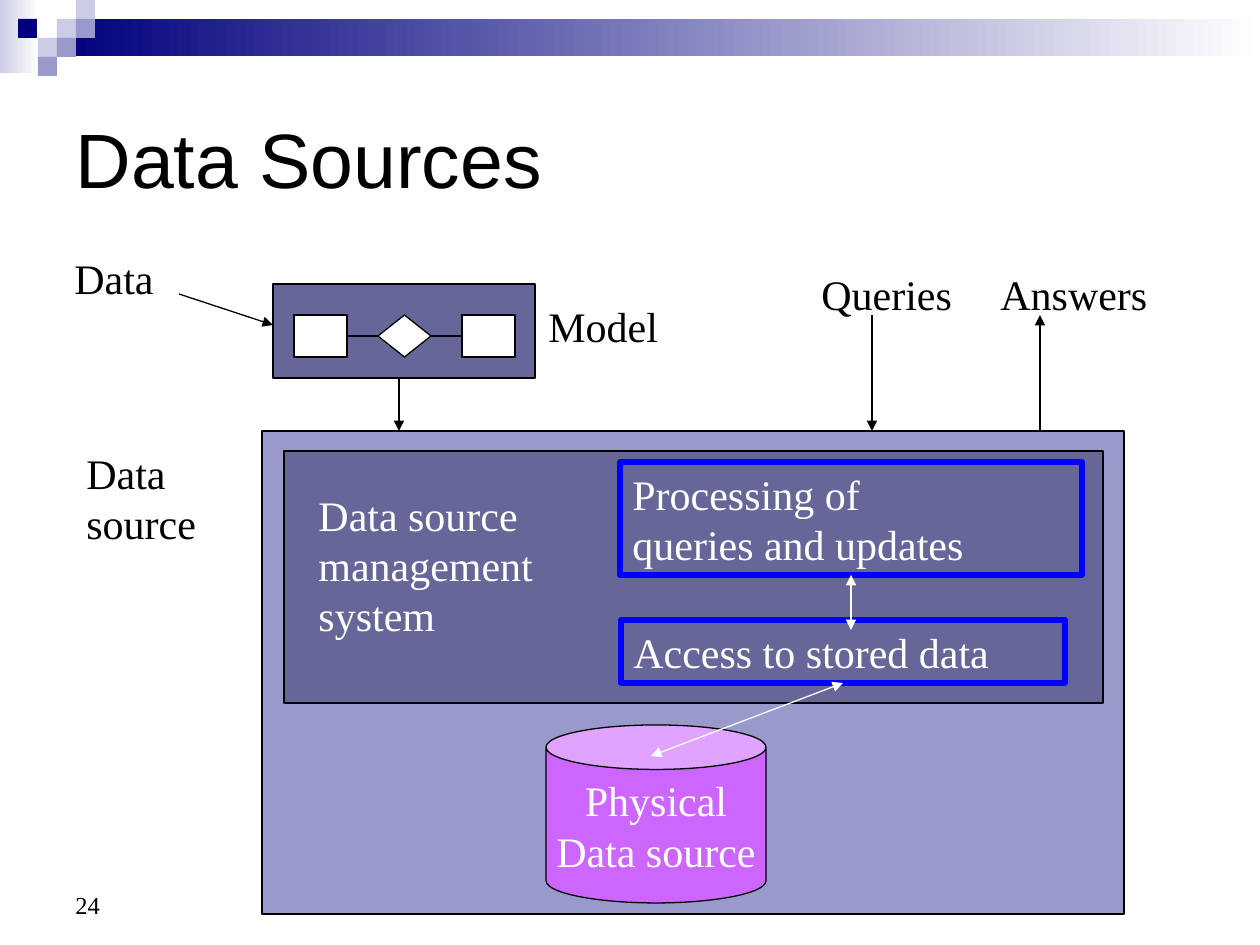
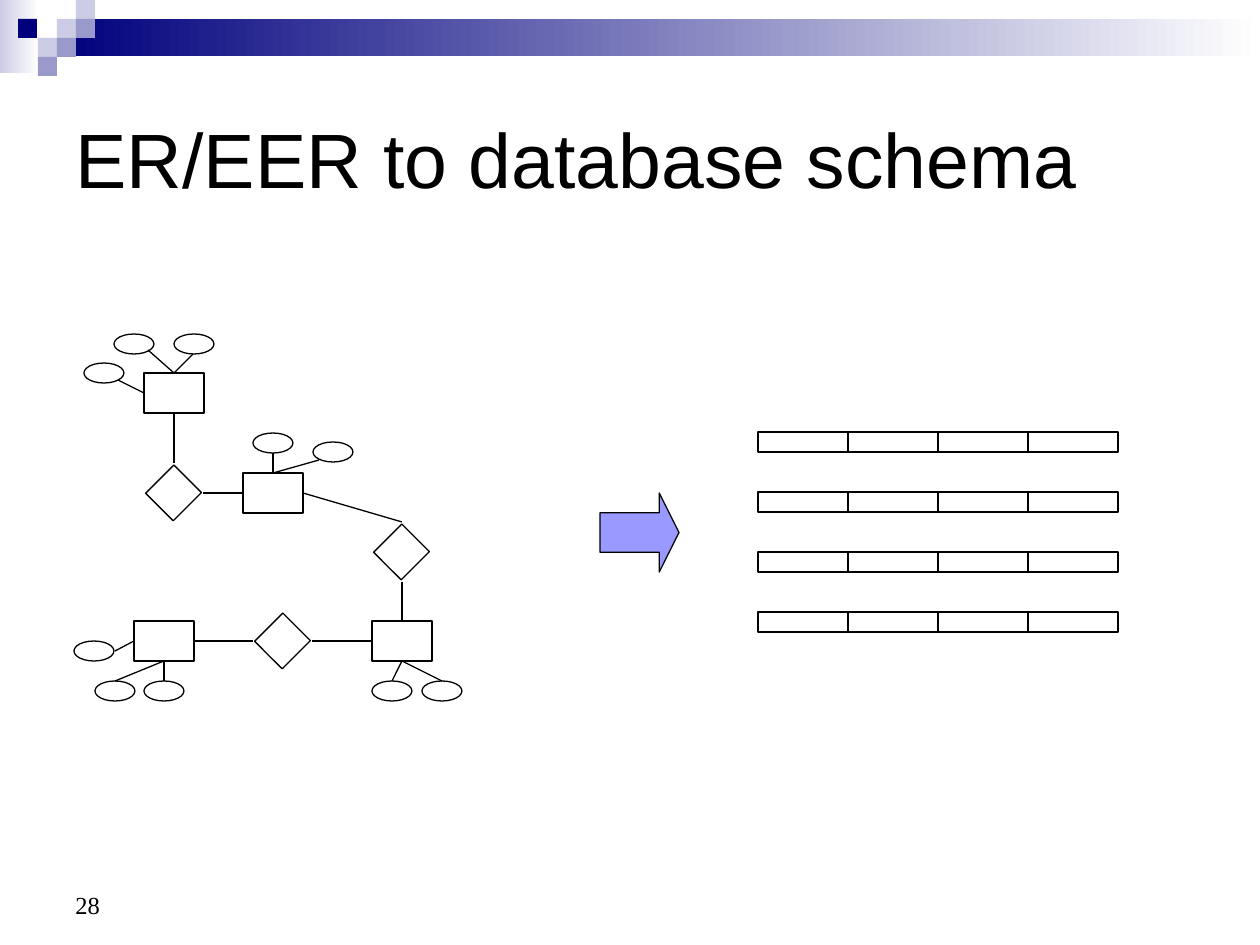
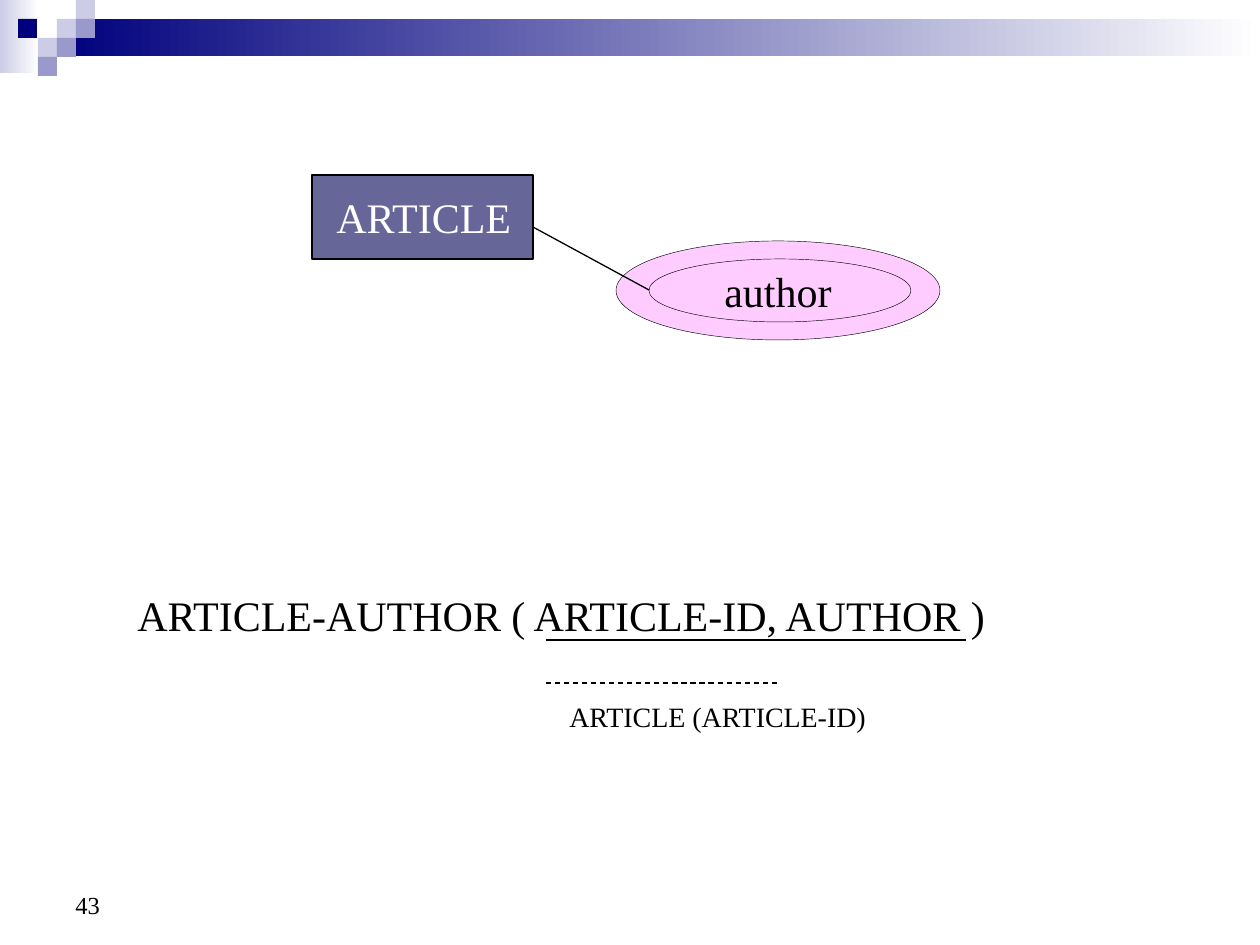
from pptx import Presentation
from pptx.dml.color import RGBColor
from pptx.enum.dml import MSO_LINE
from pptx.enum.shapes import MSO_CONNECTOR, MSO_SHAPE
from pptx.enum.text import MSO_ANCHOR, MSO_AUTO_SIZE, PP_ALIGN
from pptx.oxml.ns import qn
from pptx.util import Pt
from lxml.etree import SubElement

EMU_PER_PX = 914400 / 126
COLORS = {
    "black": "000000", "white": "FFFFFF", "navy": "00007D",
    "pale": "CCCCE6", "lavender": "9999CC", "slate": "666699",
    "blue": "0000FF", "violet": "CC66FF", "arrow": "9999FF", "pink": "FFCCFF",
}
TITLE_FONT = "Arial"
BODY_FONT = "Times New Roman"
TOP, LEFT, BOTTOM, RIGHT = range(4)


def px(*lengths):
    return [round(length * EMU_PER_PX) for length in lengths]


def rgb(name):
    return RGBColor.from_string(COLORS[name])


def write(frame, text, color="black", size=24, font=BODY_FONT,
          align=PP_ALIGN.LEFT, anchor=MSO_ANCHOR.TOP, wrap=False):
    frame.text = text
    frame.word_wrap = wrap
    frame.vertical_anchor = anchor
    for paragraph in frame.paragraphs:
        paragraph.alignment = align
        paragraph.font.name = font
        paragraph.font.size = Pt(size)
        paragraph.font.color.rgb = rgb(color)


def add_label(slide, box, text, **style):
    frame = slide.shapes.add_textbox(*px(*box)).text_frame
    write(frame, text, **style)
    frame.auto_size = MSO_AUTO_SIZE.SHAPE_TO_FIT_TEXT


def add_figure(slide, kind, box, fill=None, line="black", width=0.75):
    shape = slide.shapes.add_shape(kind, *px(*box))
    shape.shadow.inherit = False
    if fill:
        shape.fill.solid()
        shape.fill.fore_color.rgb = rgb(fill)
    else:
        shape.fill.background()
    if line:
        shape.line.color.rgb = rgb(line)
        shape.line.width = Pt(width)
    else:
        shape.line.fill.background()
    return shape


def add_gradient(slide, box, start):
    shape = add_figure(slide, MSO_SHAPE.RECTANGLE, box, line=None)
    shape.fill.gradient()
    shape.fill.gradient_angle = 0
    for stop, color in zip(shape.fill.gradient_stops, (start, "white")):
        stop.color.rgb = rgb(color)


def add_line(slide, start, end, color="black", heads=(), dash=None,
             begin=None, finish=None):
    connector = slide.shapes.add_connector(MSO_CONNECTOR.STRAIGHT, *px(*start, *end))
    connector.line.color.rgb = rgb(color)
    connector.line.width = Pt(0.75)
    if dash:
        connector.line.dash_style = dash
    if begin:
        connector.begin_connect(*begin)
    if finish:
        connector.end_connect(*finish)
    properties = connector._element.spPr
    for head in heads:
        SubElement(properties.find(qn("a:ln")), qn(f"a:{head}"), type="triangle")
    SubElement(properties, qn("a:effectLst"))


def add_band(slide):
    add_gradient(slide, (0, 0, 39, 73), "pale")
    add_gradient(slide, (57, 19, 1203, 37), "navy")
    squares = [(57, 19, "pale"), (76, 0, "pale"), (76, 19, "lavender"),
               (38, 38, "pale"), (18, 19, "navy"), (57, 38, "lavender"),
               (38, 57, "lavender")]
    for left, top, color in squares:
        add_figure(slide, MSO_SHAPE.RECTANGLE, (left, top, 19, 19), color, None)


def add_slide(presentation, number, title=None):
    slide = presentation.slides.add_slide(presentation.slide_layouts[5 if title else 6])
    add_band(slide)
    frame = slide.shapes.add_textbox(*px(63, 861, 294, 65)).text_frame
    write(frame, number, size=14, anchor=MSO_ANCHOR.BOTTOM, wrap=True)
    if title:
        placeholder = slide.shapes.title
        placeholder.left, placeholder.top, placeholder.width, placeholder.height = px(
            63, 63, 1134, 189)
        write(placeholder.text_frame, title, size=44, font=TITLE_FONT,
              anchor=MSO_ANCHOR.MIDDLE, wrap=True)
    return slide


def add_process_box(slide, box, text, wrap=False):
    shape = add_figure(slide, MSO_SHAPE.RECTANGLE, box, line="blue", width=3)
    write(shape.text_frame, text, color="white", wrap=wrap)
    return shape


def build_data_sources(presentation):
    slide = add_slide(presentation, "24", "Data Sources")
    add_label(slide, (62, 246, 107, 63), "Data")
    add_label(slide, (536, 294, 137, 63), "Model")
    add_label(slide, (809, 262, 158, 63), "Queries")
    add_label(slide, (988, 262, 174, 63), "Answers")

    add_figure(slide, MSO_SHAPE.RECTANGLE, (262, 431, 862, 483), "lavender")
    add_label(slide, (74, 441, 137, 113), "Data\nsource")
    storage = add_figure(slide, MSO_SHAPE.CAN, (546, 725, 220, 178), "violet")
    write(storage.text_frame, "Physical\nData source", color="white",
          align=PP_ALIGN.CENTER, anchor=MSO_ANCHOR.MIDDLE)
    add_figure(slide, MSO_SHAPE.RECTANGLE, (284, 451, 819, 252), "slate")
    add_label(slide, (306, 483, 243, 164), "Data source\nmanagement\nsystem", color="white")
    processing = add_process_box(slide, (620, 462, 462, 113),
                                 "Processing of\nqueries and updates", True)
    access = add_process_box(slide, (621, 620, 444, 63), "Access to stored data")
    both = ("headEnd", "tailEnd")
    add_line(slide, (851, 575), (851, 630), "white", both, begin=(processing, BOTTOM))
    add_line(slide, (843, 683), (651, 756), "white", both, begin=(access, BOTTOM))

    add_figure(slide, MSO_SHAPE.RECTANGLE, (273, 284, 262, 94), "slate")
    right_entity, left_entity = [
        add_figure(slide, MSO_SHAPE.RECTANGLE, (left, 315, 53, 42), "white")
        for left in (462, 294)]
    relation = add_figure(slide, MSO_SHAPE.FLOWCHART_DECISION, (378, 315, 53, 42), "white")
    add_line(slide, (347, 336), (378, 336),
             begin=(left_entity, RIGHT), finish=(relation, LEFT))
    add_line(slide, (431, 336), (462, 336),
             begin=(relation, RIGHT), finish=(right_entity, LEFT))
    flows = [((872, 315), (872, 431)), ((1040, 431), (1040, 315)),
             ((179, 294), (273, 325)), ((399, 378), (399, 431))]
    for start, end in flows:
        add_line(slide, start, end, heads=("tailEnd",))


def build_schema(presentation):
    slide = add_slide(presentation, "28", "ER/EER to database schema")
    arrow = add_figure(slide, MSO_SHAPE.RIGHT_ARROW, (600, 493, 79, 79), "arrow")
    arrow.adjustments[1] = 0.25

    first, second, third, fourth = [
        add_figure(slide, MSO_SHAPE.RECTANGLE, (left, top, 60, 40))
        for left, top in ((144, 373), (243, 473), (372, 621), (134, 621))]
    attributes = [(114, 334), (84, 363), (174, 334), (74, 641), (95, 681),
                  (144, 681), (372, 681), (422, 681), (253, 433), (313, 442)]
    for left, top in attributes:
        add_figure(slide, MSO_SHAPE.OVAL, (left, top, 40, 20))
    for left, top in ((154, 473), (263, 621), (382, 532)):
        add_figure(slide, MSO_SHAPE.RECTANGLE, (left, top, 39, 40)).rotation = 45

    links = [
        ((115, 651), fourth, LEFT), ((115, 681), fourth, BOTTOM),
        ((164, 681), fourth, BOTTOM), ((118, 380), first, LEFT),
        ((148, 350), first, TOP), ((193, 354), first, TOP),
        ((273, 453), second, TOP), ((319, 460), second, TOP),
        ((392, 681), third, BOTTOM), ((442, 681), third, BOTTOM),
        ((174, 463), first, BOTTOM), ((203, 493), second, LEFT),
        ((253, 641), fourth, RIGHT), ((312, 641), third, LEFT),
        ((402, 582), third, TOP), ((402, 522), second, RIGHT),
    ]
    for start, entity, side in links:
        add_line(slide, start, start, finish=(entity, side))

    for row in range(4):
        for column in range(4):
            add_figure(slide, MSO_SHAPE.RECTANGLE,
                       (758 + 90 * column, 432 + 60 * row, 90, 20))


def build_multivalued_attribute(presentation):
    slide = add_slide(presentation, "43")
    add_label(slide, (125, 583, 884, 63), "ARTICLE-AUTHOR ( ARTICLE-ID, AUTHOR )")
    add_line(slide, (546, 683), (777, 683), dash=MSO_LINE.DASH)
    add_label(slide, (557, 693, 327, 47), "ARTICLE (ARTICLE-ID)", size=16)
    add_line(slide, (546, 640), (966, 640))
    for box in ((616, 241, 324, 99), (649, 259, 262, 63)):
        add_figure(slide, MSO_SHAPE.OVAL, box, "pink", width=0.25)
    add_label(slide, (712, 259, 136, 63), "author")
    add_figure(slide, MSO_SHAPE.RECTANGLE, (312, 175, 221, 84), "slate")
    add_label(slide, (324, 185, 204, 63), "ARTICLE", color="white")
    add_line(slide, (533, 227), (649, 290))


def main():
    presentation = Presentation()
    presentation.slide_width, presentation.slide_height = px(1260, 945)
    build_data_sources(presentation)
    build_schema(presentation)
    build_multivalued_attribute(presentation)
    presentation.save("out.pptx")


if __name__ == "__main__":
    main()
